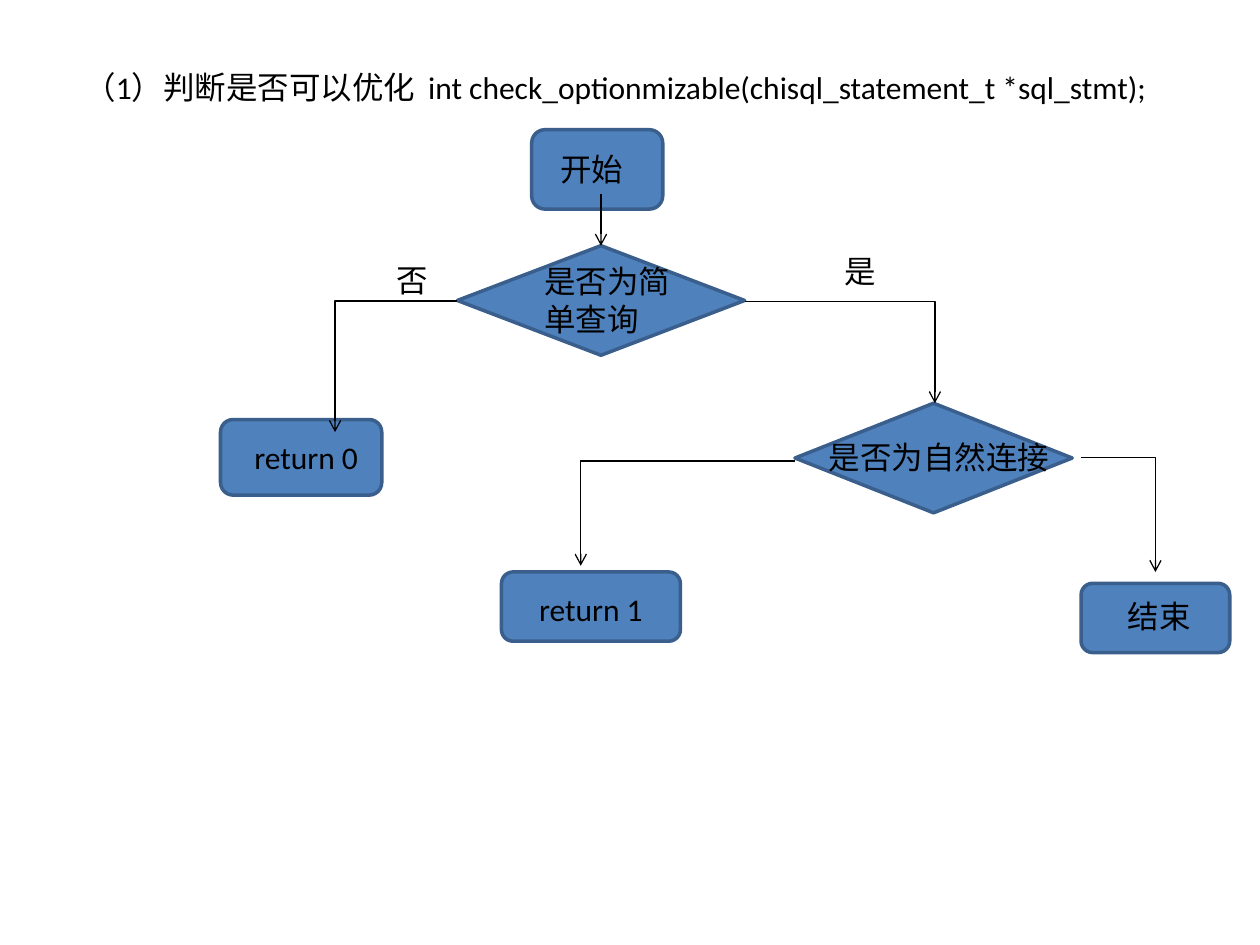
from lxml import etree
from pptx import Presentation
from pptx.dml.color import RGBColor
from pptx.enum.shapes import MSO_CONNECTOR, MSO_SHAPE
from pptx.enum.text import MSO_ANCHOR, PP_ALIGN
from pptx.oxml.ns import qn
from pptx.util import Inches, Pt

DECISION = MSO_SHAPE.FLOWCHART_DECISION
PROCESS = MSO_SHAPE.FLOWCHART_ALTERNATE_PROCESS
ROUNDED = MSO_SHAPE.ROUNDED_RECTANGLE
STRAIGHT, ELBOW = MSO_CONNECTOR.STRAIGHT, MSO_CONNECTOR.ELBOW
LEFT, TOP = PP_ALIGN.LEFT, MSO_ANCHOR.TOP

WIDTH, HEIGHT = 10, 7.5
LINE_H = 5.33
FONT, SIZE = "Calibri", 18
FILL, BORDER, INK = "4F81BD", "3A5F8C", "000000"

NODES = [
    (PROCESS, 42.2, 13.73, 10.4, 8.4),
    (DECISION, 36.3, 26, 22.8, 11.6),
    (PROCESS, 17.5, 44.4, 12.8, 8),
    (DECISION, 63.1, 42.67, 22, 11.6),
    (PROCESS, 39.8, 60.53, 14.2, 7.33),
    (ROUNDED, 85.8, 61.73, 11.8, 7.33),
]
ARROWS = [
    (STRAIGHT, 47.7, 20.53, 47.7, 26),
    (ELBOW, 36.3, 31.87, 26.6, 45.73),
    (ELBOW, 59.1, 31.87, 74.2, 42.67),
    (ELBOW, 63.1, 48.8, 46.1, 59.87),
    (ELBOW, 85.8, 48.4, 91.7, 60.53),
]
LABELS = [
    ("int check_optionmizable(chisql_statement_t *sql_stmt);", 33, 6.53, 71.7),
    ("开始", 43.5, 15.2, 8.4),
    ("是否为简单查询", 42.2, 27.07, 14.4),
    ("return 0", 19.2, 45.73, 14.8),
    ("是否为自然连接", 64.8, 45.73, 21),
    ("否", 30.5, 26.93, 4.7),
    ("是", 66, 26, 3.5),
    ("return 1", 41.8, 61.73, 12.2),
    ("结束", 88.5, 62.53, 7.1),
]


def color(value):
    return RGBColor.from_string(value)


def box(*shares):
    sides = (WIDTH, HEIGHT, WIDTH, HEIGHT)
    return [Inches(s * side / 100) for s, side in zip(shares, sides)]


def write(tf, text):
    tf.text = text
    tf.word_wrap = True
    tf.vertical_anchor = TOP
    p = tf.paragraphs[0]
    p.alignment = LEFT
    for r in p.runs:
        r.font.name = FONT
        r.font.size = Pt(SIZE)
        r.font.color.rgb = color(INK)


def add_title(slide, text, x, y, w):
    sp = slide.shapes.title
    sp.left, sp.top, sp.width, sp.height = box(x, y, w, LINE_H)
    write(sp.text_frame, text)


def add_label(slide, text, x, y, w):
    sp = slide.shapes.add_textbox(*box(x, y, w, LINE_H))
    write(sp.text_frame, text)


def add_node(slide, kind, *area):
    sp = slide.shapes.add_shape(kind, *box(*area))
    sp.shadow.inherit = False
    sp.fill.solid()
    sp.fill.fore_color.rgb = color(FILL)
    sp.line.color.rgb = color(BORDER)
    sp.line.width = Pt(2)


def add_arrow(slide, kind, *ends):
    cxn = slide.shapes.add_connector(kind, *box(*ends))
    cxn.line.color.rgb = color(INK)
    cxn.line.width = Pt(0.75)
    props = cxn._element.spPr
    if kind == ELBOW:
        props.find(qn("a:prstGeom")).set("prst", "bentConnector2")
    etree.SubElement(props.find(qn("a:ln")), qn("a:tailEnd"), type="arrow")
    etree.SubElement(props, qn("a:effectLst"))


def main():
    prs = Presentation()
    prs.slide_width, prs.slide_height = Inches(WIDTH), Inches(HEIGHT)
    slide = prs.slides.add_slide(prs.slide_layouts[5])
    add_title(slide, "（1）判断是否可以优化", 5.7, 6.53, 32.3)
    for node in NODES:
        add_node(slide, *node)
    for arrow in ARROWS:
        add_arrow(slide, *arrow)
    for label in LABELS:
        add_label(slide, *label)
    prs.save("out.pptx")


if __name__ == "__main__":
    main()
